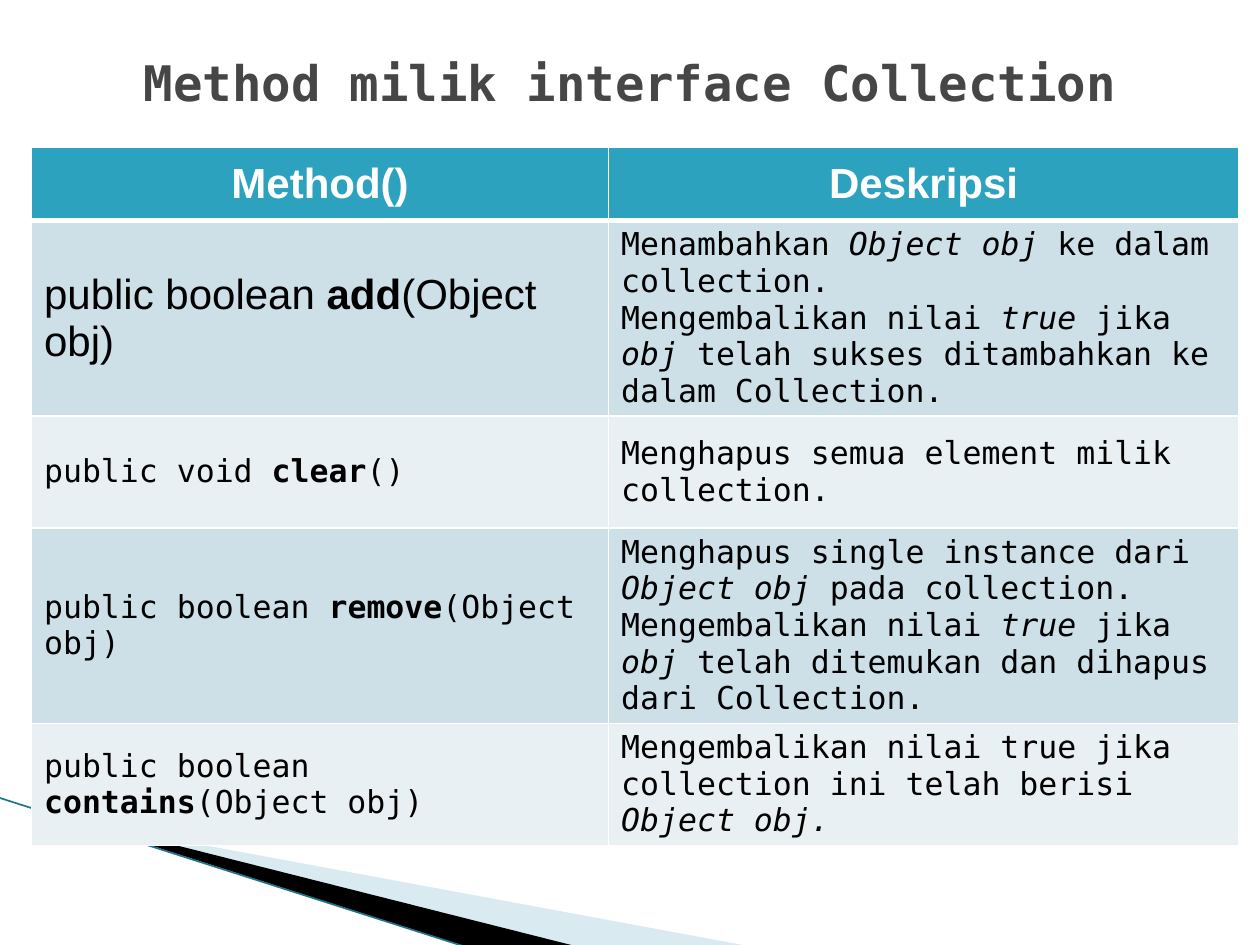
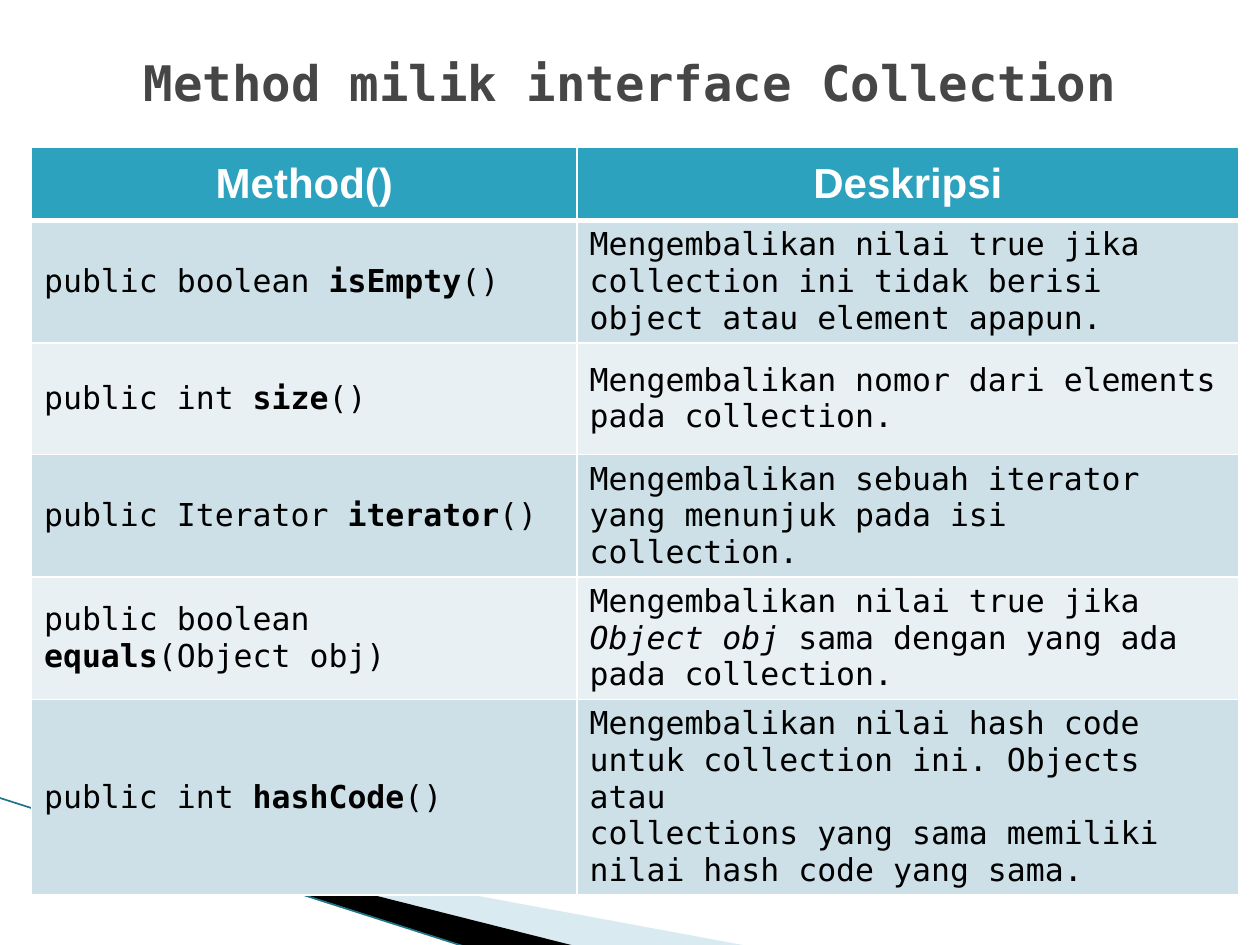
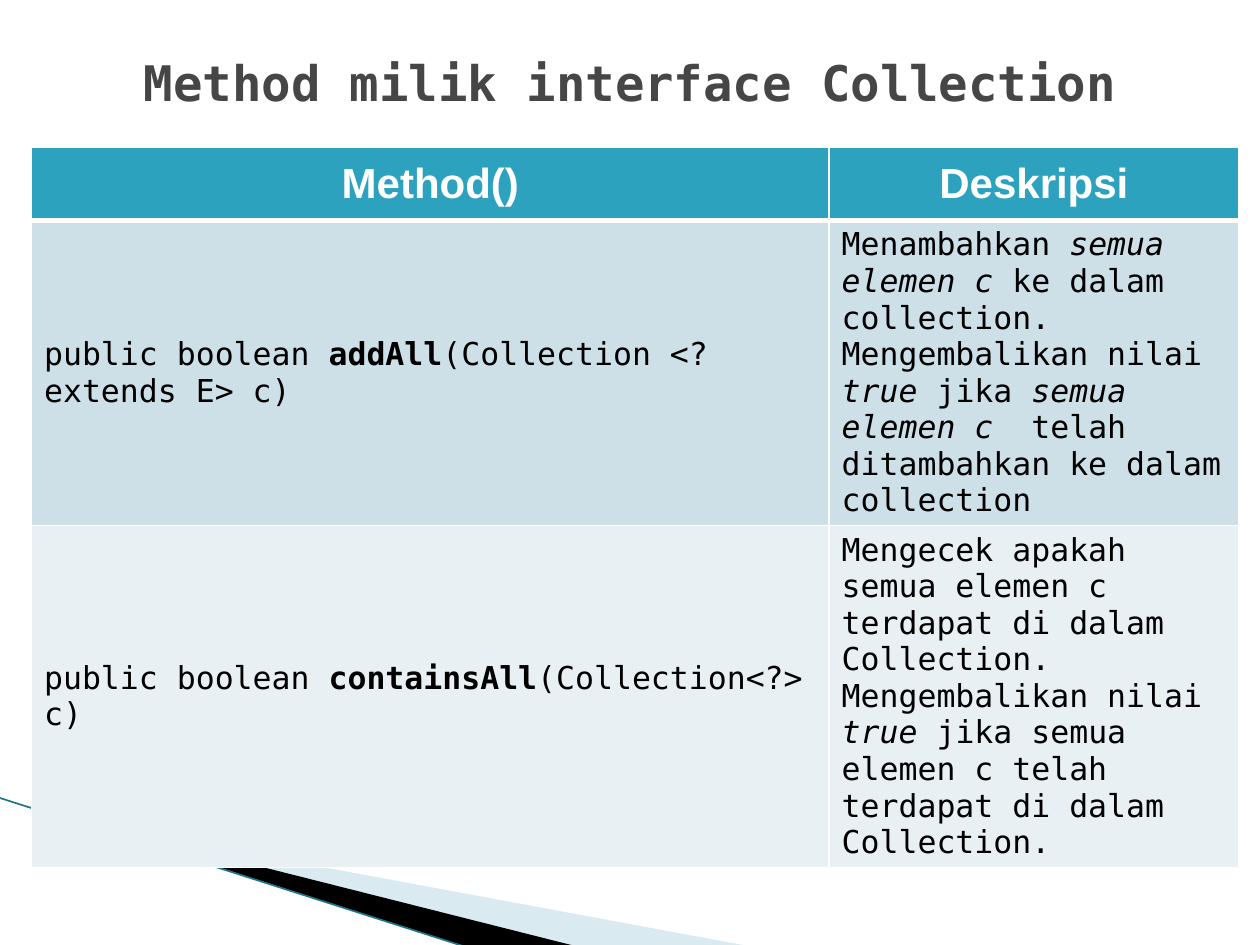
"""Build three slides that list the methods of the Collection interface."""
from dataclasses import dataclass

from lxml.etree import SubElement as Sub
from pptx import Presentation
from pptx.dml.color import RGBColor as RGB
from pptx.enum.shapes import MSO_CONNECTOR as Conn
from pptx.enum.text import MSO_ANCHOR as Anchor, PP_ALIGN as Align
from pptx.oxml.ns import qn
from pptx.util import Pt

TITLE = "Method milik interface Collection"
HEADS = ("Method()", "Deskripsi")
SLIDES = [
    {"cols": (329.8, 360), "large": (1, 0), "rows": [
        ("public boolean *add*(Object obj)",
         "Menambahkan *Object obj *ke dalam collection.\n"
         "Mengembalikan nilai *true *jika *obj *telah sukses ditambahkan ke dalam Collection."),
        ("public void *clear*()",
         "Menghapus semua element milik collection."),
        ("public boolean *remove*(Object obj)",
         "Menghapus single instance dari *Object obj *pada collection.\n"
         "Mengembalikan nilai *true *jika *obj *telah ditemukan dan dihapus dari Collection."),
        ("public boolean *contains*(Object obj)",
         "Mengembalikan nilai true jika collection ini telah berisi *Object obj.*"),
    ]},
    {"cols": (311.8, 378), "large": None, "rows": [
        ("public boolean *isEmpty*()",
         "Mengembalikan nilai true jika collection ini tidak berisi object atau element apapun."),
        ("public int *size*()",
         "Mengembalikan nomor dari elements pada collection."),
        ("public Iterator *iterator*()",
         "Mengembalikan sebuah iterator yang menunjuk pada isi collection."),
        ("public boolean *equals*(Object obj)",
         "Mengembalikan nilai true jika *Object obj *sama dengan yang ada pada collection."),
        ("public int *hashCode*()",
         "Mengembalikan nilai hash code untuk collection ini. Objects atau\n"
         "collections yang sama memiliki nilai hash code yang sama."),
    ]},
    {"cols": (455.8, 234), "large": None, "rows": [
        ("public boolean *addAll*(Collection <? extends E> c)",
         "Menambahkan *semua elemen c *ke dalam collection.\n"
         "Mengembalikan nilai *true *jika *semua elemen c  *telah ditambahkan ke dalam collection"),
        ("public boolean *containsAll*(Collection<?> c)",
         "Mengecek apakah semua elemen c terdapat di dalam Collection.\n"
         "Mengembalikan nilai *true *jika semua elemen c telah terdapat di dalam Collection."),
    ]},
]


@dataclass(frozen=True)
class Theme:
    sans: str = "Arial"
    mono: str = "DejaVu Sans Mono"
    title: str = "464646"
    text: str = "000000"
    white: str = "FFFFFF"
    head: str = "2DA2BF"
    bands: tuple = ("CDE0E8", "E8F0F4")
    wedge: str = "A0CBDC"
    edge: str = "1F7488"
    title_size: int = 28
    head_size: int = 24
    body_size: int = 18


T = Theme()
TITLE_FMT = {"name": T.mono, "size": T.title_size, "bold": True, "color": T.title}
HEAD_FMT = {"name": T.sans, "size": T.head_size, "bold": True, "color": T.white}
BODY_FMT = {"name": T.mono, "size": T.body_size, "bold": False, "italic": False, "color": T.text}
LARGE_FMT = BODY_FMT | {"name": T.sans, "size": T.head_size}
EMPHASIS = ("bold", "italic")
WEDGES = [
    (T.wedge, 40, [(39.6, 468.7), (428.4, 540.7), (328.3, 540.7), (39.6, 468)]),
    (T.text, 100, [(38.2, 467.3), (329, 540.7), (267.8, 541.4), (38.9, 468)]),
]
EDGE = (-0.7, 455.8, 267.1, 541.4)
TABLE_AT = (18, 84.2)
HEAD_H, ROW_H = 41.8, 64


def set_font(font, fmt):
    for key, value in fmt.items():
        if key == "color":
            font.color.rgb = RGB.from_string(value)
        else:
            setattr(font, key, Pt(value) if key == "size" else value)


def write(tf, text, fmt, align=Align.LEFT, emphasis="bold"):
    for i, line in enumerate(text.split("\n")):
        p = tf.add_paragraph() if i else tf.paragraphs[0]
        p.alignment = align
        for j, part in enumerate(line.split("*")):
            if part:
                r = p.add_run()
                r.text = part
                set_font(r.font, fmt | ({emphasis: True} if j % 2 else {}))


def draw_backdrop(s):
    for color, alpha, points in WEDGES:
        start, *rest = [(Pt(x), Pt(y)) for x, y in points]
        fb = s.shapes.build_freeform(*start)
        fb.add_line_segments(rest, close=True)
        sp = fb.convert_to_shape()
        sp.shadow.inherit = False
        sp.fill.solid()
        sp.fill.fore_color.rgb = RGB.from_string(color)
        sp.line.fill.background()
        if alpha < 100:
            clr = sp.fill._xPr.find(".//" + qn("a:srgbClr"))
            Sub(clr, qn("a:alpha"), val=str(alpha * 1000))
    cx = s.shapes.add_connector(Conn.STRAIGHT, *map(Pt, EDGE))
    cx.line.color.rgb = RGB.from_string(T.edge)
    cx.line.width = Pt(0.95)
    Sub(cx._element.spPr, qn("a:effectLst"))


def style_cell(cell, fill, row):
    cell.vertical_anchor = Anchor.MIDDLE
    widths = {"L": 1, "R": 1, "T": 3 if row == 1 else 1, "B": 1 if row else 3}
    pr = cell._tc.get_or_add_tcPr()
    for side, width in widths.items():
        ln = Sub(pr, qn("a:ln" + side), w=str(Pt(width)))
        Sub(Sub(ln, qn("a:solidFill")), qn("a:srgbClr"), val=T.white)
    cell.fill.solid()
    cell.fill.fore_color.rgb = RGB.from_string(fill)


def draw_table(s, cols, large, rows):
    heights = [HEAD_H] + [ROW_H] * len(rows)
    size = (sum(cols), sum(heights))
    tbl = s.shapes.add_table(len(heights), len(cols), *map(Pt, TABLE_AT + size)).table
    tbl.horz_banding = False
    for col, width in zip(tbl.columns, cols):
        col.width = Pt(width)
    for i, (height, texts) in enumerate(zip(heights, [HEADS, *rows])):
        tbl.rows[i].height = Pt(height)
        for j, text in enumerate(texts):
            cell = tbl.cell(i, j)
            style_cell(cell, T.bands[(i - 1) % 2] if i else T.head, i)
            if i == 0:
                write(cell.text_frame, text, HEAD_FMT, Align.CENTER)
            else:
                fmt = LARGE_FMT if (i, j) == large else BODY_FMT
                write(cell.text_frame, text, fmt, emphasis=EMPHASIS[j])


def draw_title(s):
    tf = s.shapes.add_textbox(Pt(36), Pt(21.6), Pt(648), Pt(50.4)).text_frame
    for key, value in {"word_wrap": True, "vertical_anchor": Anchor.MIDDLE}.items():
        setattr(tf, key, value)
    write(tf, TITLE, TITLE_FMT, Align.CENTER)


def main():
    prs = Presentation()
    prs.slide_width, prs.slide_height = Pt(720), Pt(540)
    for content in SLIDES:
        s = prs.slides.add_slide(prs.slide_layouts[6])
        draw_backdrop(s)
        draw_table(s, **content)
        draw_title(s)
    prs.save("out.pptx")


if __name__ == "__main__":
    main()
